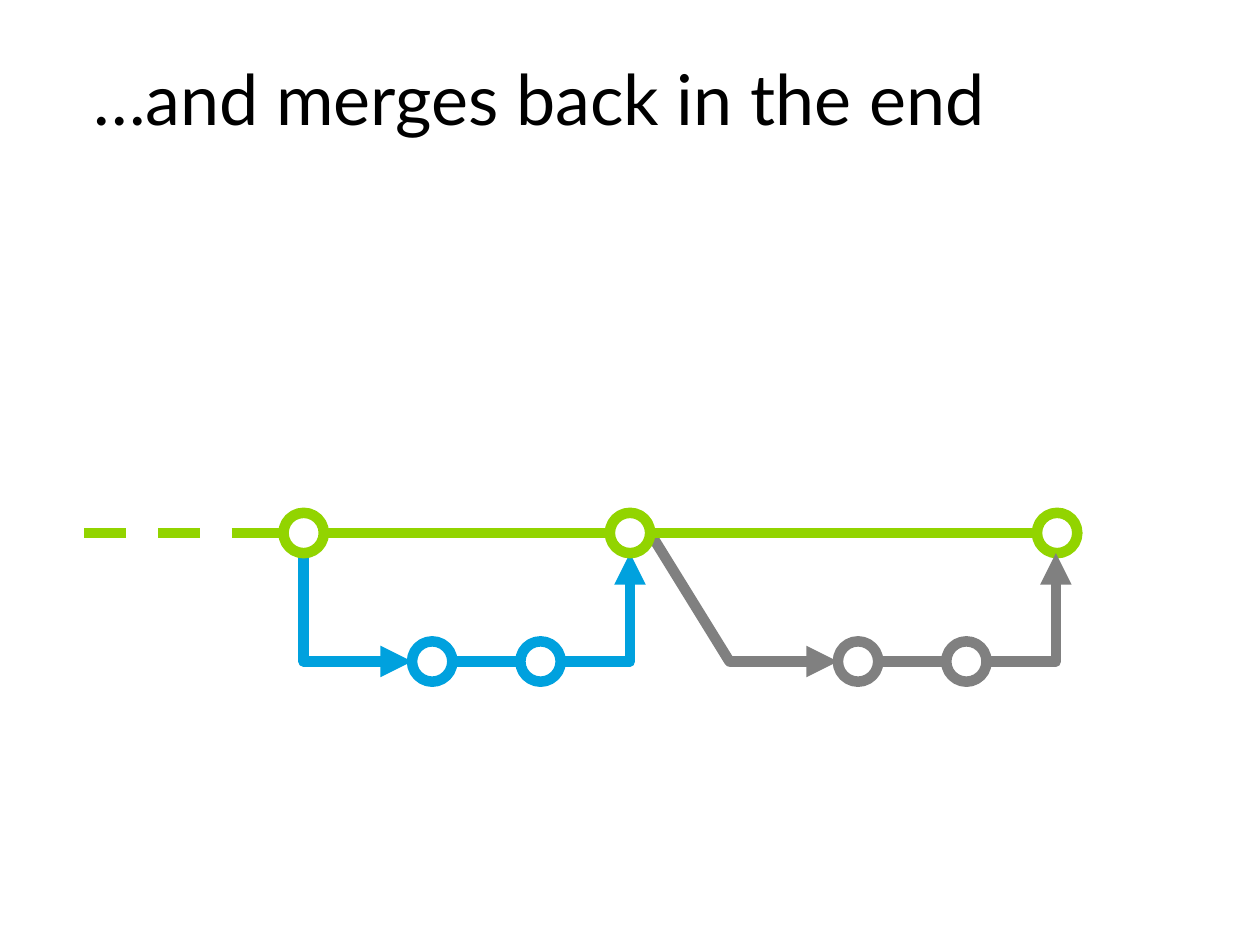
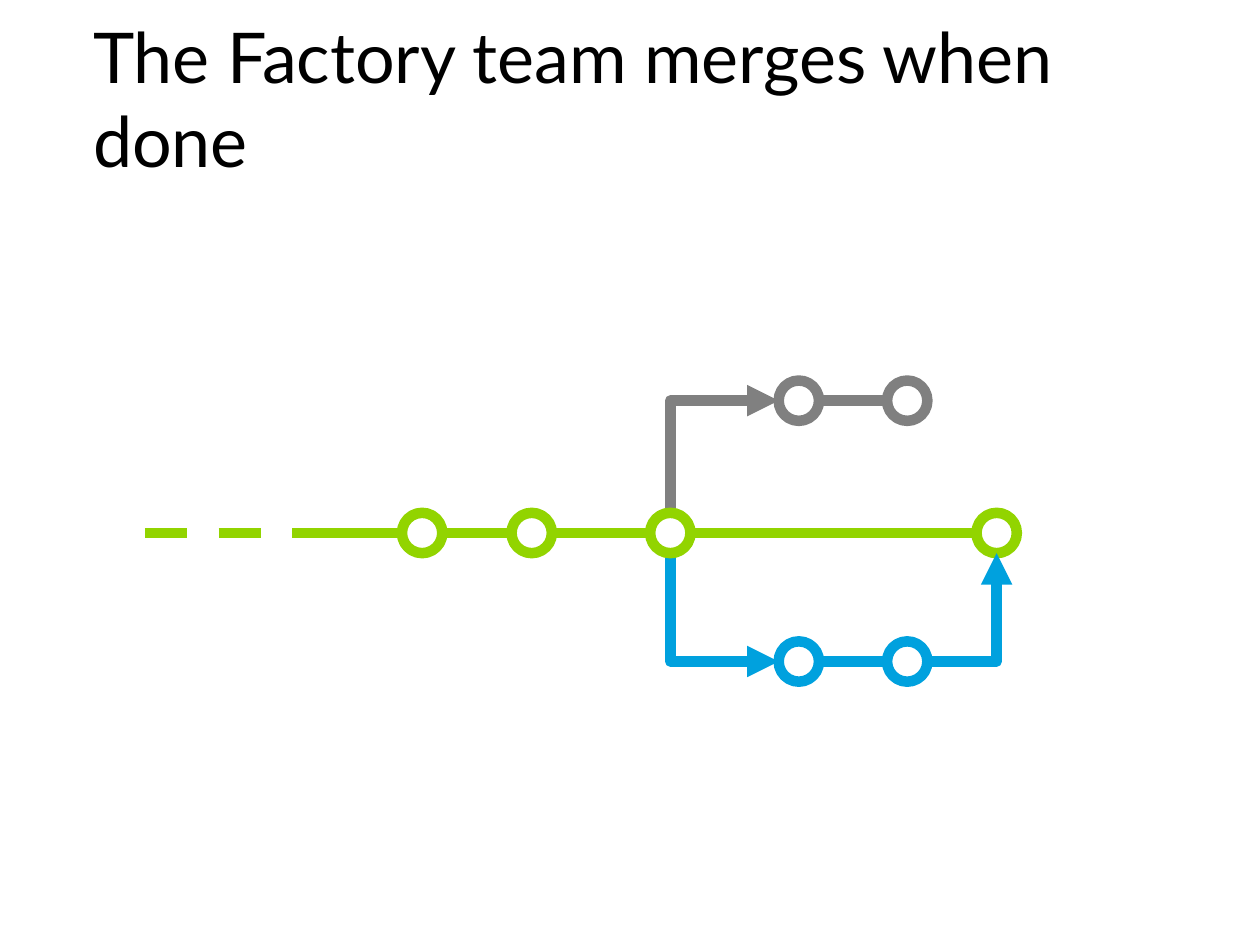
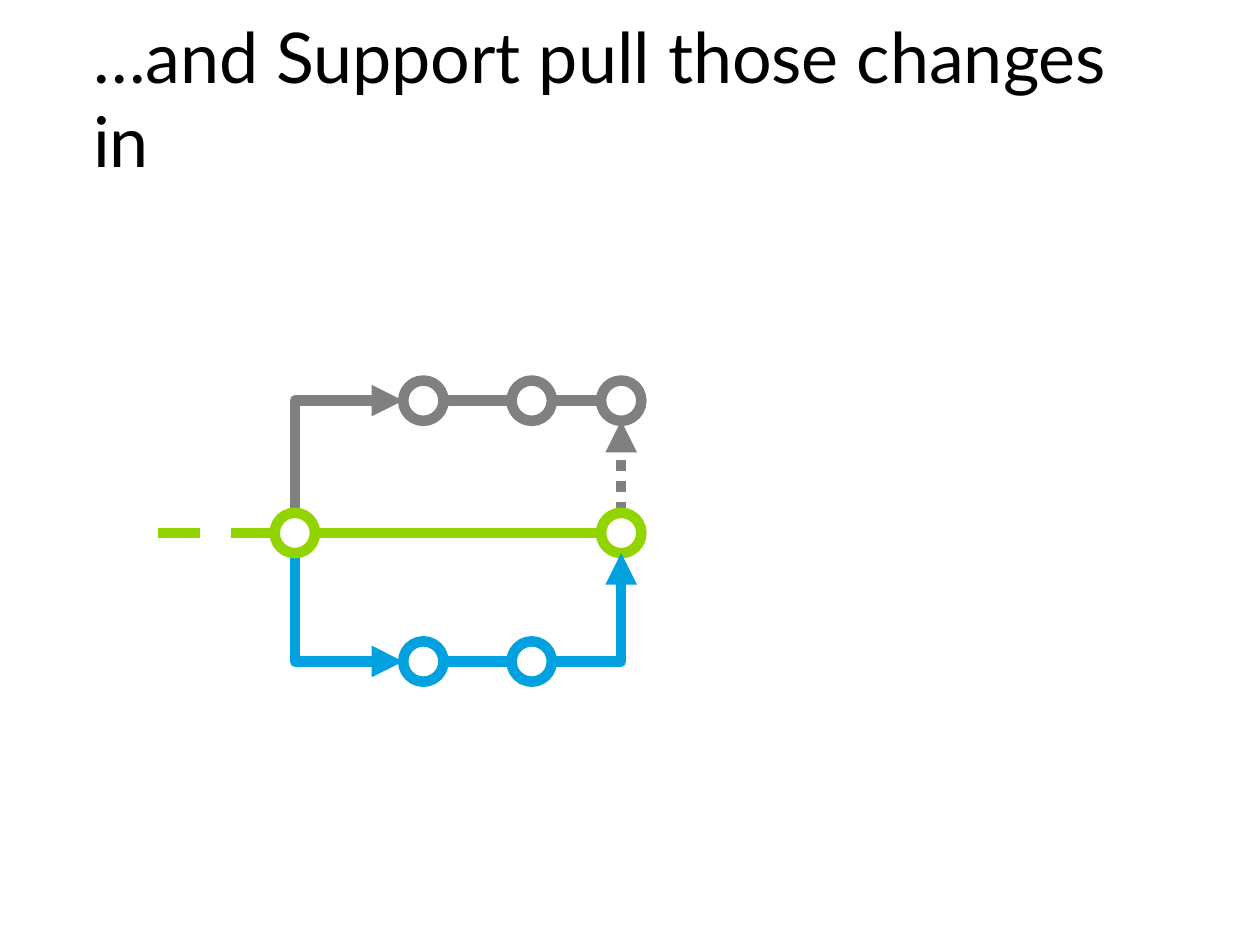
"""Build three slides that show branches leaving and rejoining a main line."""
from dataclasses import dataclass

from pptx import Presentation
from pptx import util as u
from pptx.dml.color import RGBColor
from pptx.enum import dml, shapes, text
from pptx.oxml.ns import qn
from lxml import etree


@dataclass(frozen=True)
class Theme:
    main: str = "92D400"
    factory: str = "00A1DE"
    support: str = "808080"
    white: str = "FFFFFF"
    black: str = "000000"
    font: str = "Lato"
    title_size: int = 40
    stroke: int = 6


THEME = Theme()
WIDTH, HEIGHT = 10, 7.5
TITLE_BOX = (0.64, 0.15, 8.73, 1.25)
MAIN_Y, FACTORY_Y, SUPPORT_Y = 4.23, 5.25, 3.18
DIAMETER = 0.32
RADIUS = DIAMETER / 2
COMMIT_STEPS = (1.02, 1.88)
MERGE_STEP = 2.59

MAIN = (MAIN_Y, THEME.main)
FACTORY = (FACTORY_Y, THEME.factory)
SUPPORT = (SUPPORT_Y, THEME.support)
SUPPORT_BELOW = (FACTORY_Y, THEME.support)

SLIDES = [
    ("…and merges back in the end", [
        ("slant", 5.79, SUPPORT_BELOW),
        ("commits", 5.79, SUPPORT_BELOW, COMMIT_STEPS),
        ("fork", 2.41, FACTORY),
        ("commits", 2.41, FACTORY, COMMIT_STEPS),
        ("merge", 2.41, FACTORY),
        ("trunk", (0.67, 2.01), [(1.93, 5.16), (5.16, 8.23)], (2.41, 5, 8.39)),
        ("merge", 5.79, SUPPORT_BELOW),
    ]),
    ("The Factory team merges when done", [
        ("fork", 5.32, SUPPORT),
        ("fork", 5.32, FACTORY),
        ("commits", 5.32, FACTORY, COMMIT_STEPS),
        ("trunk", (1.15, 2.49), [(2.49, 7.91)], (3.35, 4.22, 5.32, 7.91)),
        ("commits", 5.32, SUPPORT, COMMIT_STEPS),
        ("merge", 5.32, FACTORY),
    ]),
    ("…and Support pull those changes in", [
        ("pull", 2.34, SUPPORT),
        ("fork", 2.34, SUPPORT),
        ("fork", 2.34, FACTORY),
        ("commits", 2.34, FACTORY, COMMIT_STEPS),
        ("trunk", (1.25, 2.59), [(2, 4.93)], (2.34, 4.93)),
        ("commits", 2.34, SUPPORT, (*COMMIT_STEPS, MERGE_STEP)),
        ("merge", 2.34, FACTORY),
    ]),
]


def paint_line(shape, color, dash=None, arrow=False):
    shape.line.color.rgb = RGBColor.from_string(color)
    shape.line.width = u.Pt(THEME.stroke)
    if dash:
        shape.line.dash_style = dash
    if arrow:
        outline = shape.element.spPr.find(qn("a:ln"))
        etree.SubElement(outline, qn("a:tailEnd"), type="triangle")


def add_line(slide, start, end, color, dash=None, arrow=False, kind=shapes.MSO_CONNECTOR.STRAIGHT):
    points = [u.Inches(value) for value in (*start, *end)]
    connector = slide.shapes.add_connector(kind, *points)
    paint_line(connector, color, dash, arrow)
    etree.SubElement(connector.element.spPr, qn("a:effectLst"))
    return connector


def add_elbow(slide, start, end, color, rotation=0):
    connector = add_line(slide, start, end, color, arrow=True, kind=shapes.MSO_CONNECTOR.ELBOW)
    properties = connector.element.spPr
    properties.find(qn("a:prstGeom")).set("prst", "bentConnector2")
    if rotation:
        properties.find(qn("a:xfrm")).set("rot", str(rotation * 60000))


def add_commit(slide, x, lane):
    y, color = lane
    box = (x - RADIUS, y - RADIUS, DIAMETER, DIAMETER)
    commit = slide.shapes.add_shape(shapes.MSO_SHAPE.OVAL, *map(u.Inches, box))
    commit.shadow.inherit = False
    commit.fill.solid()
    commit.fill.fore_color.rgb = RGBColor.from_string(THEME.white)
    paint_line(commit, color)


def add_commits(slide, fork_x, lane, steps):
    y, color = lane
    centres = [fork_x + step for step in steps]
    for left, right in zip(centres, centres[1:]):
        add_line(slide, (left + RADIUS, y), (right + RADIUS, y), color)
    for x in centres:
        add_commit(slide, x, lane)


def add_fork(slide, fork_x, lane):
    y, color = lane
    side = 1 if y > MAIN_Y else -1
    start_y = MAIN_Y + side * RADIUS
    run = COMMIT_STEPS[0] - RADIUS
    drop = abs(y - start_y)
    middle_x, middle_y = fork_x + run / 2, (start_y + y) / 2
    start = (middle_x + drop / 2, middle_y - side * run / 2)
    end = (middle_x - drop / 2, middle_y + side * run / 2)
    add_elbow(slide, start, end, color, 270 if side > 0 else 90)


def add_merge(slide, fork_x, lane):
    y, color = lane
    start = (fork_x + COMMIT_STEPS[-1] + RADIUS, y)
    add_elbow(slide, start, (fork_x + MERGE_STEP, MAIN_Y + RADIUS), color)


def add_slant(slide, corner_x, lane):
    y, color = lane
    points = [(5.16, MAIN_Y), (corner_x, y), (corner_x + COMMIT_STEPS[0] - RADIUS, y)]
    first, *rest = [(u.Inches(x), u.Inches(height)) for x, height in points]
    builder = slide.shapes.build_freeform(*first)
    builder.add_line_segments(rest, close=False)
    route = builder.convert_to_shape()
    route.shadow.inherit = False
    route.fill.background()
    paint_line(route, color, arrow=True)


def add_pull(slide, fork_x, lane):
    y, color = lane
    x = fork_x + MERGE_STEP
    add_line(slide, (x, MAIN_Y - RADIUS), (x, y + RADIUS), color,
             dml.MSO_LINE.ROUND_DOT, arrow=True)


def add_trunk(slide, history, spans, commits):
    for left, right in spans:
        add_line(slide, (left, MAIN_Y), (right, MAIN_Y), THEME.main)
    add_line(slide, (history[0], MAIN_Y), (history[1], MAIN_Y), THEME.main, dml.MSO_LINE.DASH)
    for x in commits:
        add_commit(slide, x, MAIN)


def add_title(slide, title):
    frame = slide.shapes.add_textbox(*map(u.Inches, TITLE_BOX)).text_frame
    frame.word_wrap = True
    frame.vertical_anchor = text.MSO_ANCHOR.MIDDLE
    paragraph = frame.paragraphs[0]
    paragraph.text = title
    paragraph.font.name = THEME.font
    paragraph.font.size = u.Pt(THEME.title_size)
    paragraph.font.color.rgb = RGBColor.from_string(THEME.black)


DRAW = {"slant": add_slant, "commits": add_commits, "fork": add_fork,
        "merge": add_merge, "pull": add_pull, "trunk": add_trunk}


def main():
    presentation = Presentation()
    presentation.slide_width, presentation.slide_height = u.Inches(WIDTH), u.Inches(HEIGHT)
    for title, parts in SLIDES:
        slide = presentation.slides.add_slide(presentation.slide_layouts[6])
        add_title(slide, title)
        for kind, *details in parts:
            DRAW[kind](slide, *details)
    presentation.save("out.pptx")


if __name__ == "__main__":
    main()
